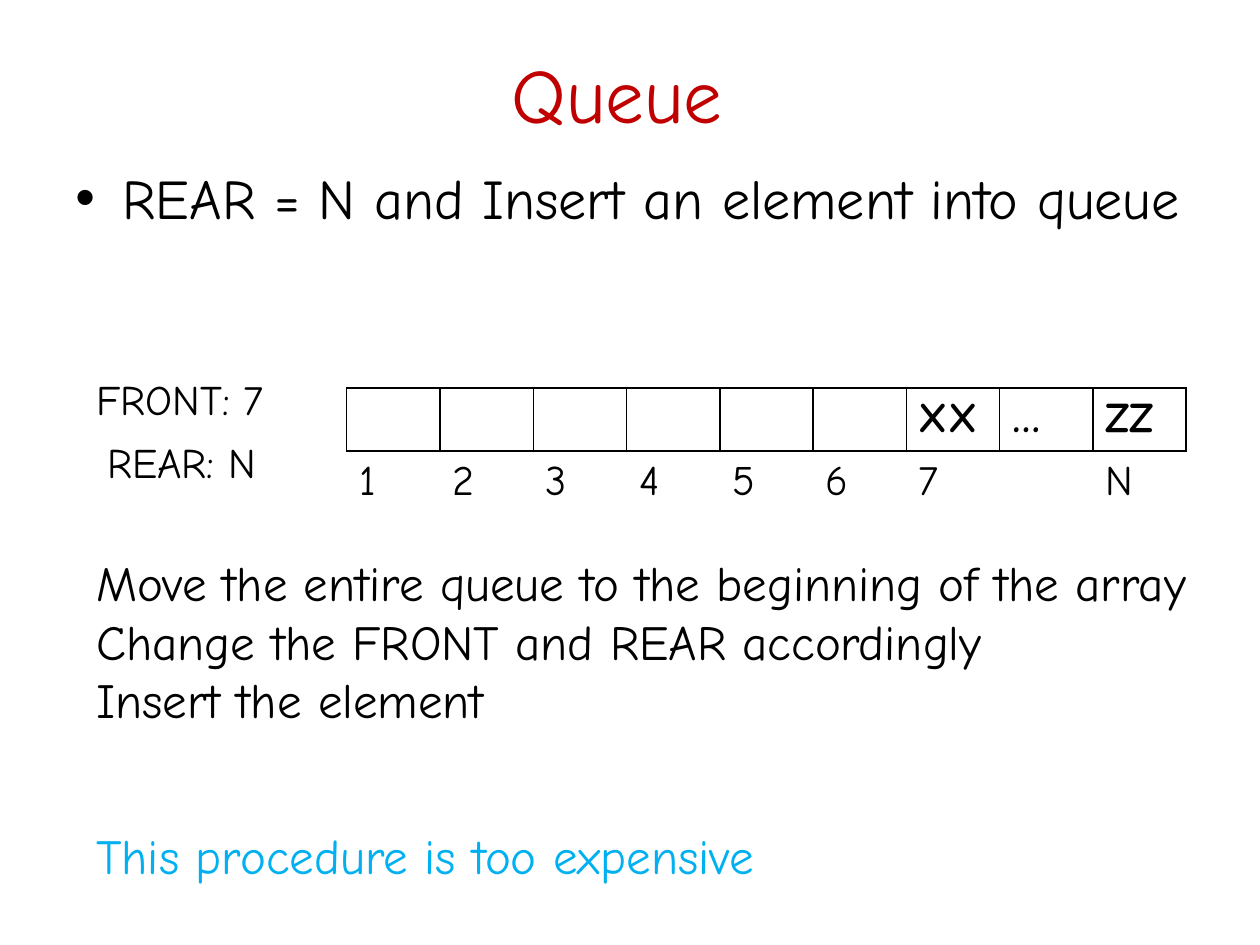
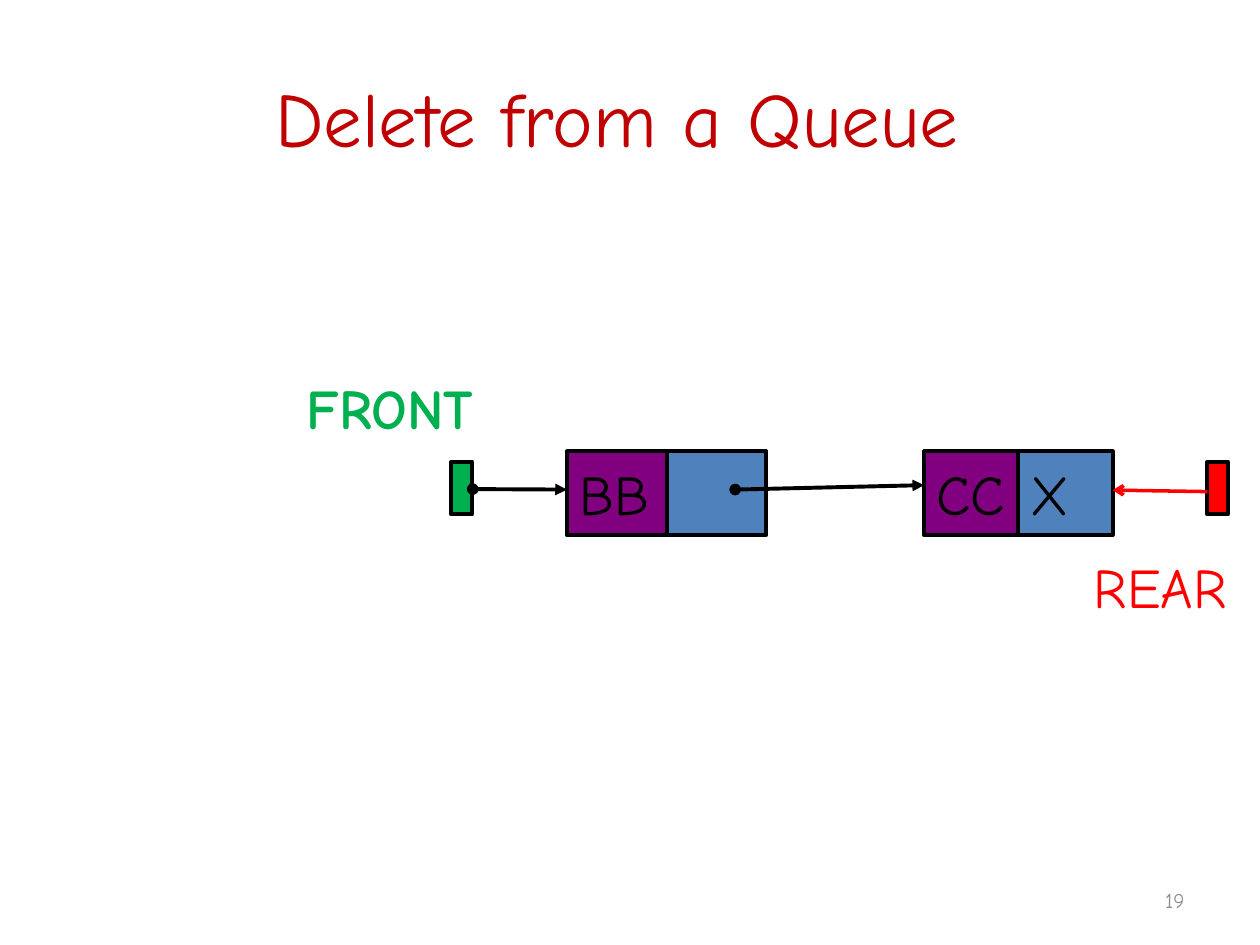
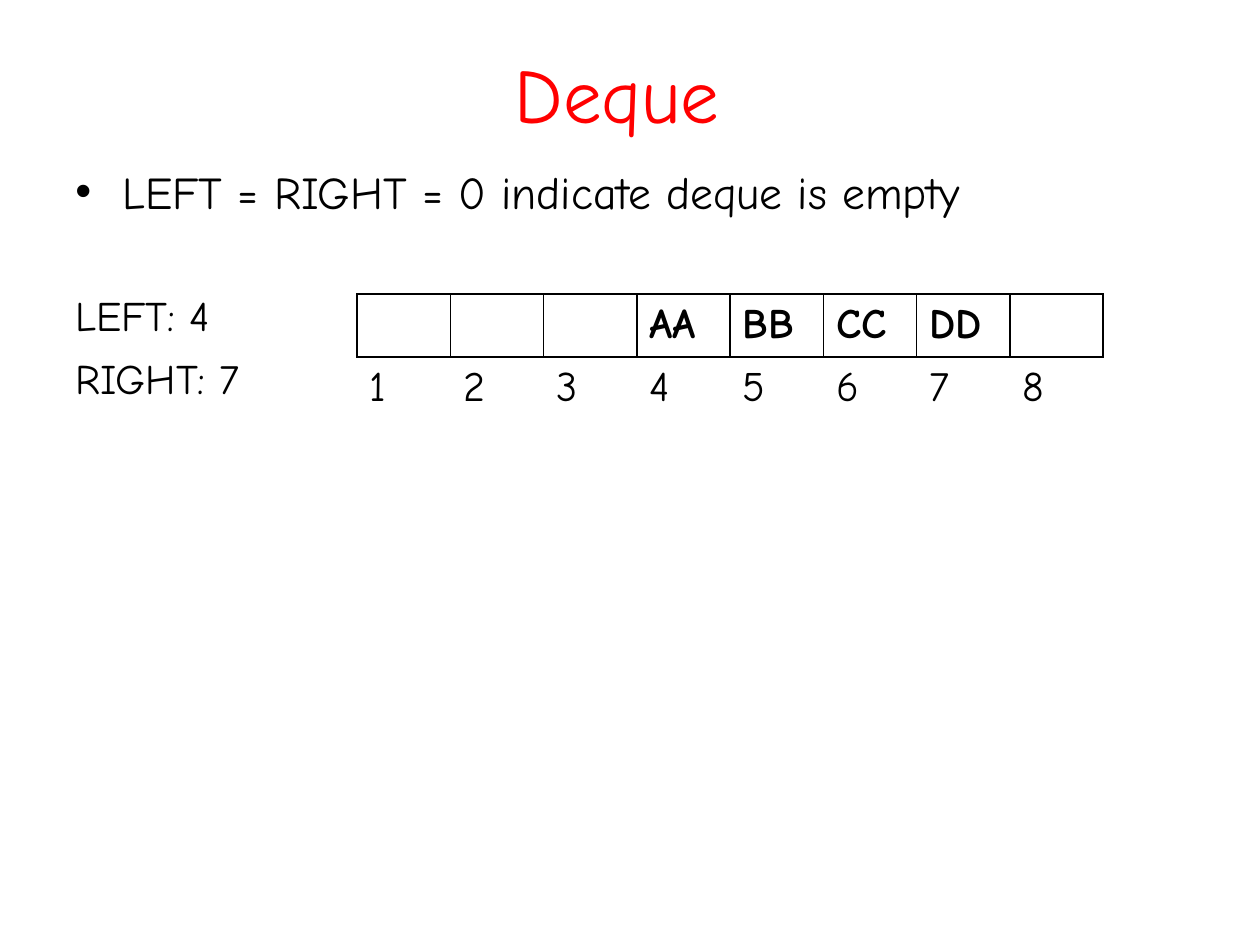
import pptx
import pptx.dml.color
import pptx.enum.shapes
import pptx.enum.text
import pptx.oxml
import pptx.oxml.ns
import pptx.util
from pptx.dml.color import RGBColor
from pptx.util import Cm, Pt

FONT = "Comic Neue"
BLACK = RGBColor(0x00, 0x00, 0x00)
DARK_RED = RGBColor(0xC0, 0x00, 0x00)
RED = RGBColor(0xFF, 0x00, 0x00)
GREEN = RGBColor(0x00, 0xB0, 0x50)
SKY = RGBColor(0x00, 0xB0, 0xF0)
BLUE = RGBColor(0x4F, 0x81, 0xBD)
PURPLE = RGBColor(0x80, 0x00, 0x80)
GRAY = RGBColor(0x8C, 0x8C, 0x8C)

MARGIN = 1.27
CONTENT_WIDTH = 22.86
CELL_WIDTH = 1.88
ROW_HEIGHT = 1.04
NODE_TOP = 9.1
NODE_HEIGHT = 1.69
POINTER_TOP = 9.31

TOP = pptx.enum.text.MSO_ANCHOR.TOP
MIDDLE = pptx.enum.text.MSO_ANCHOR.MIDDLE
LEFT = pptx.enum.text.PP_ALIGN.LEFT
CENTER = pptx.enum.text.PP_ALIGN.CENTER
RIGHT = pptx.enum.text.PP_ALIGN.RIGHT


def add_xml(parent, tag, index=None, **attributes):
    child = pptx.oxml.parse_xml(f'<a:{tag} {pptx.oxml.ns.nsdecls("a")}/>')
    for name, value in attributes.items():
        child.set(name, str(value))
    parent.insert(len(parent) if index is None else index, child)
    return child


def style_paragraph(para, size, color=BLACK, bold=False, align=LEFT):
    para.alignment = align
    para.font.name = FONT
    para.font.size = Pt(size)
    para.font.bold = bold
    para.font.color.rgb = color


def add_text(page, lines, left, top, width, height, size,
             color=BLACK, bold=False, align=LEFT, anchor=TOP):
    box = page.shapes.add_textbox(Cm(left), Cm(top), Cm(width), Cm(height))
    frame = box.text_frame
    frame.word_wrap = True
    frame.vertical_anchor = anchor
    frame.text = "\n".join(lines)
    for para in frame.paragraphs:
        style_paragraph(para, size, color, bold, align)
    return box


def add_title(page, title, height=2.21, color=DARK_RED):
    add_text(page, [title], MARGIN, 0.76, CONTENT_WIDTH, height, 44,
             color, align=CENTER, anchor=MIDDLE)


def add_bullet(page, line, height, size):
    box = add_text(page, [line], MARGIN, 3.18, CONTENT_WIDTH, height, size)
    properties = box.text_frame.paragraphs[0]._p.get_or_add_pPr()
    indent = Cm(0.95)
    properties.set("marL", str(indent))
    properties.set("indent", str(-indent))
    add_xml(properties, "buFont", 0, typeface="Arial")
    add_xml(properties, "buChar", 1, char="•")


def set_borders(cell, visible):
    """Draw the named sides of the cell in black and hide the others."""
    properties = cell._tc.get_or_add_tcPr()
    for index, side in enumerate("LRTB"):
        line = add_xml(properties, f"ln{side}", index, w=Pt(1))
        if side in visible:
            fill = add_xml(line, "solidFill")
            add_xml(fill, "srgbClr", val=BLACK)
        else:
            add_xml(line, "noFill")


def add_array(page, values, indexes, left, top):
    """Add a row of bordered cells with the cell numbers below."""
    count = len(values)
    table = page.shapes.add_table(
        2, count, Cm(left), Cm(top),
        Cm(CELL_WIDTH * count), Cm(2 * ROW_HEIGHT)).table
    table.first_row = table.horz_banding = False
    for column in table.columns:
        column.width = Cm(CELL_WIDTH)
    for row, (words, bold, sides) in enumerate(
            [(values, True, "LRTB"), (indexes, False, "T")]):
        table.rows[row].height = Cm(ROW_HEIGHT)
        for column, word in enumerate(words):
            cell = table.cell(row, column)
            cell.text = word
            style_paragraph(cell.text_frame.paragraphs[0], 24, bold=bold)
            cell.fill.background()
            set_borders(cell, sides)


def add_block(page, left, top, width, height, color, label=""):
    block = page.shapes.add_shape(
        pptx.enum.shapes.MSO_SHAPE.RECTANGLE,
        Cm(left), Cm(top), Cm(width), Cm(height))
    block.shadow.inherit = False
    block.fill.solid()
    block.fill.fore_color.rgb = color
    block.line.color.rgb = BLACK
    block.line.width = Pt(2.25)
    if label:
        frame = block.text_frame
        frame.text = label
        frame.word_wrap = False
        frame.vertical_anchor = MIDDLE
        style_paragraph(frame.paragraphs[0], 32)


def add_node(page, left, cell_width, value, link=""):
    """Add a list node: a value cell and a link cell side by side."""
    add_block(page, left + cell_width, NODE_TOP, cell_width, NODE_HEIGHT, BLUE, link)
    add_block(page, left, NODE_TOP, cell_width, NODE_HEIGHT, PURPLE, value)


def add_pointer(page, left, color):
    add_block(page, left, POINTER_TOP, 0.42, 1.06, color)


def add_arrow(page, start, end, color=BLACK, width=2.25, head="oval", tail="triangle"):
    arrow = page.shapes.add_connector(
        pptx.enum.shapes.MSO_CONNECTOR.STRAIGHT,
        Cm(start[0]), Cm(start[1]), Cm(end[0]), Cm(end[1]))
    arrow.line.color.rgb = color
    arrow.line.width = Pt(width)
    properties = arrow._element.spPr
    line = properties.find(pptx.oxml.ns.qn("a:ln"))
    add_xml(line, "headEnd", type=head)
    add_xml(line, "tailEnd", type=tail)
    add_xml(properties, "effectLst")


def build_full_queue(page):
    add_title(page, "Queue ")
    add_bullet(page, "REAR = N and Insert an element into queue", 3.18, 32)
    add_array(page, [""] * 6 + ["XX", "…", "ZZ"], [*"1234567", "", "N"], 6.99, 7.82)
    add_text(page, ["FRONT: 7"], 1.69, 7.41, 4.66, 1.27, 24)
    add_text(page, ["REAR: N"], 1.91, 8.68, 4.66, 1.27, 24)
    add_text(page, ["Move the entire queue to the beginning of the array",
                    "Change the FRONT and REAR accordingly",
                    "Insert the element"], 1.69, 11.01, 24.13, 5.05, 28)
    add_text(page, ["This procedure is too expensive"],
             1.69, 16.51, 21.8, 1.45, 28, SKY)


def build_delete(page):
    add_title(page, "Delete from a Queue ", height=3.18)
    add_pointer(page, 9.1, GREEN)
    add_node(page, 18.63, 1.9, "CC", "X")
    add_node(page, 11.43, 2.01, "BB")
    add_arrow(page, (9.53, 9.86), (11.43, 9.87))
    add_arrow(page, (14.82, 9.87), (18.63, 9.78))
    add_text(page, ["FRONT"], 5.93, 7.41, 4.66, 1.62, 32, GREEN, bold=True)
    add_text(page, ["19"], 18.2, 17.65, 5.93, 1.01, 12, GRAY, align=RIGHT, anchor=MIDDLE)
    add_pointer(page, 24.34, RED)
    add_arrow(page, (24.34, 9.91), (22.43, 9.88), RED, 2, head="none", tail="arrow")
    add_text(page, ["REAR"], 21.8, 11.01, 3.6, 1.62, 32, RED)


def build_deque(page):
    add_title(page, "Deque ", color=RED)
    add_bullet(page, "LEFT = RIGHT = 0 indicate deque is empty", 1.91, 26)
    add_array(page, ["", "", "", "AA", "BB", "CC", "DD", ""], "12345678", 7.2, 5.93)
    add_text(page, ["LEFT: 4"], MARGIN, 5.72, 5.5, 1.27, 24)
    add_text(page, ["RIGHT: 7"], MARGIN, 6.99, 4.66, 1.27, 24)


def main():
    deck = pptx.Presentation()
    deck.slide_width = Cm(25.4)
    deck.slide_height = Cm(19.05)
    for build in (build_full_queue, build_delete, build_deque):
        build(deck.slides.add_slide(deck.slide_layouts[6]))
    deck.save("out.pptx")


if __name__ == "__main__":
    main()
